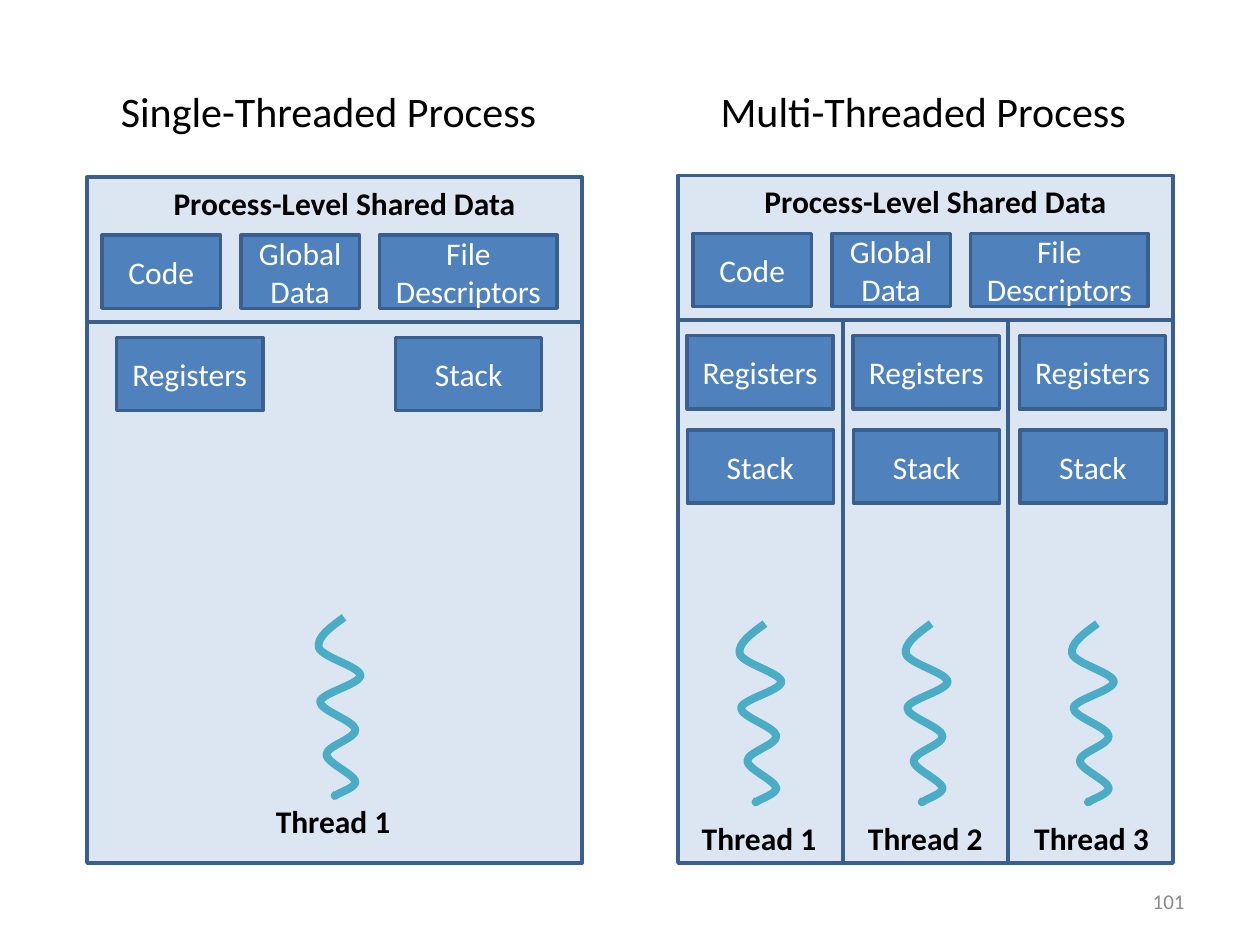
from lxml.etree import SubElement
from pptx import Presentation
from pptx.dml.color import RGBColor
from pptx.enum.shapes import MSO_SHAPE
from pptx.enum.text import MSO_ANCHOR, PP_ALIGN
from pptx.oxml.ns import qn
from pptx.util import Pt

PALE = RGBColor(0xDC, 0xE6, 0xF2)
BLUE = RGBColor(0x4F, 0x81, 0xBD)
EDGE = RGBColor(0x3A, 0x5F, 0x8C)
TEAL = RGBColor(0x4B, 0xAC, 0xC6)
GREY = RGBColor(0x8C, 0x8C, 0x8C)
BLACK = RGBColor(0, 0, 0)
WHITE = RGBColor(0xFF, 0xFF, 0xFF)

WIDTH = 283     # of one process
BASE = 493.2    # bottom edge of both processes
HEAD = 82.6     # height of the shared data area
BOX_H = 41.8
LANE = WIDTH / 3
STEP = 95       # from one thread's parts to the next

# Shared data boxes: text, offset from the process edge, width
SHARED = [("Code", 8.6, 67.7), ("Global Data", 88, 67.7),
          ("File Descriptors", 167.2, 101.5)]

# Start of the thread curve, then three Bezier points per bend
START = (14.4, 0)
BENDS = [
    [(6.5, 5.8), (-1.4, 11.5), (0, 17.3)],
    [(2.2, 23), (23, 28), (23.8, 33.1)],
    [(23.8, 38.2), (1.4, 43.2), (0.7, 48.2)],
    [(0.7, 53.3), (20.2, 59), (20.9, 64.1)],
    [(21.6, 69.1), (4.3, 73.4), (4.3, 78.5)],
    [(4.3, 82.8), (19.4, 89.3), (20.9, 93.6)],
    [(21.6, 97.2), (11.5, 100.1), (10.1, 101.5)],
    [(7.9, 103), (9.4, 101.5), (10.1, 100.8)],
]


def style(frame, text, size, color, align, bold=False):
    frame.text = text
    par = frame.paragraphs[0]
    par.alignment = align
    font = par.font
    font.name, font.size, font.bold = "Calibri", Pt(size), bold
    font.color.rgb = color


def add_rect(slide, x, y, w, h, fill, text=""):
    rect = slide.shapes.add_shape(
        MSO_SHAPE.RECTANGLE, Pt(x), Pt(y), Pt(w), Pt(h))
    rect.shadow.inherit = False
    rect.fill.solid()
    rect.fill.fore_color.rgb = fill
    rect.line.color.rgb = EDGE
    rect.line.width = Pt(2)
    if text:
        rect.text_frame.vertical_anchor = MSO_ANCHOR.MIDDLE
        style(rect.text_frame, text, 18, WHITE, PP_ALIGN.CENTER)


def add_text(slide, x, y, w, h, text, size, color=BLACK,
             align=PP_ALIGN.LEFT, bold=False, wrap=True):
    box = slide.shapes.add_textbox(Pt(x), Pt(y), Pt(w), Pt(h))
    frame = box.text_frame
    frame.word_wrap = wrap
    frame.vertical_anchor = MSO_ANCHOR.MIDDLE
    style(frame, text, size, color, align, bold)


def add_label(slide, x, y, w, text):
    add_text(slide, x, y, w, 29, text, 18, bold=True, wrap=False)


def add_curve(slide, x, y):
    def place(point):
        return Pt(x + point[0]), Pt(y + point[1])

    pen = slide.shapes.build_freeform(*place(START))
    pen.add_line_segments(
        [place(point) for bend in BENDS for point in bend], close=False)
    curve = pen.convert_to_shape()
    # Turn each three straight segments into one Bezier bend
    route = next(curve.element.iter(qn("a:path")))
    lines = route.findall(qn("a:lnTo"))
    for i in range(0, len(lines), 3):
        bend = SubElement(route, qn("a:cubicBezTo"))
        for line in lines[i:i + 3]:
            bend.append(line[0])
            route.remove(line)
    curve.shadow.inherit = False
    curve.fill.background()
    curve.line.color.rgb = TEAL
    curve.line.width = Pt(4.5)


def add_shared(slide, x, y):
    add_rect(slide, x, y, WIDTH, HEAD, PALE)
    add_label(slide, x + 42.4, y, 211.7, "Process-Level Shared Data")
    for text, left, w in SHARED:
        add_rect(slide, x + left, y + 33.1, w, BOX_H, BLUE, text)


def add_store(slide, x, y, text):
    add_rect(slide, x, y, 83.5, BOX_H, BLUE, text)


def add_single(slide, x, y):
    add_text(slide, 52.6, 45.4, 275.8, 36, "Single-Threaded Process ", 24,
             align=PP_ALIGN.CENTER)
    add_shared(slide, x, y)
    top = y + HEAD
    add_rect(slide, x, top, WIDTH, BASE - top, PALE)
    add_store(slide, x + 17, top + 9, "Registers")
    add_store(slide, x + 176.4, top + 9, "Stack")
    add_curve(slide, x + 132.5, 352.8)
    add_label(slide, x + 100.8, 454.5, 80.6, "Thread 1")


def add_multi(slide, x, y):
    add_text(slide, 392.4, 45.4, 275.8, 36, "Multi-Threaded Process ", 24,
             align=PP_ALIGN.CENTER)
    add_shared(slide, x, y)
    top = y + HEAD
    for i in range(3):
        add_rect(slide, x + i * LANE, top, LANE, BASE - top, PALE)
    for i in range(3):
        left = x + i * STEP
        add_store(slide, left + 5.2, top + 9, "Registers")
        add_store(slide, left + 5.4, top + 63, "Stack")
        add_curve(slide, left + 35.3, 356.4)
        add_label(slide, left + 6.5, 464.4, 80.6, f"Thread {i + 1}")


def main():
    deck = Presentation()
    deck.slide_width, deck.slide_height = Pt(720), Pt(540)
    slide = deck.slides.add_slide(deck.slide_layouts[6])
    add_single(slide, 49.7, 101.3)
    add_multi(slide, 387.4, 100.2)
    # Page number
    add_text(slide, 516, 500.5, 168, 28.8, "101", 12, GREY, PP_ALIGN.RIGHT)
    deck.save("out.pptx")


if __name__ == "__main__":
    main()
